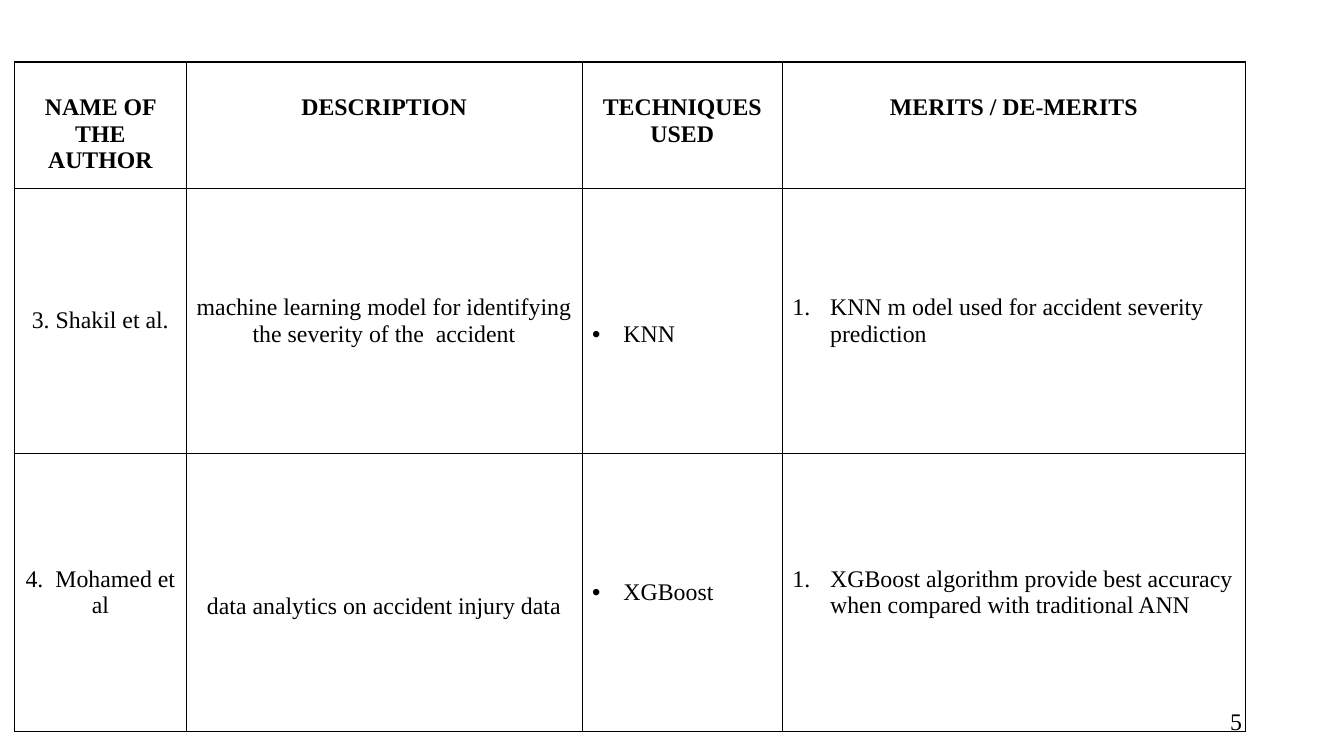
from lxml import etree
from pptx import Presentation
from pptx.dml.color import RGBColor
from pptx.enum.text import MSO_ANCHOR, PP_ALIGN
from pptx.oxml.ns import qn
from pptx.util import Cm, Pt

LEFT, CENTER, RIGHT = PP_ALIGN.LEFT, PP_ALIGN.CENTER, PP_ALIGN.RIGHT
TOP, MIDDLE = MSO_ANCHOR.TOP, MSO_ANCHOR.MIDDLE
BLANK_LAYOUT = 6
PAD_X, PAD_Y, LOWERED = 0.25, 0.13, 0.82

COLUMN_WIDTHS = (4.32, 9.98, 5.05, 11.66)
ROW_HEIGHTS = (3.18, 6.68, 7.01)
HEADINGS = ("NAME OF THE AUTHOR", "DESCRIPTION", "TECHNIQUES USED", "MERITS / DE-MERITS")
STUDIES = (
    ("3. Shakil et al.",
     "machine learning model for identifying the severity of the  accident",
     "KNN",
     "KNN m odel used for accident severity prediction"),
    ("4.  Mohamed et al",
     "data analytics on accident injury data",
     "XGBoost",
     "XGBoost algorithm provide best accuracy when compared with traditional ANN"),
)
COLUMN_FORMATS = (
    {"align": CENTER},
    {"align": CENTER},
    {"marker": "bullet", "indent": 0.79},
    {"marker": "number", "indent": 0.95},
)
LOWERED_CELLS = {(1, 2), (2, 1)}


def color(value):
    """Turn a hex string into a colour."""
    return RGBColor.from_string(value)


class SlideBuilder:
    """Hold the style and the current slide."""

    font, size, ink, paper = "Times New Roman", 17, "000000", "FFFFFF"

    def __init__(self, deck):
        """Add a blank slide to the deck."""
        self.page = deck.slides.add_slide(deck.slide_layouts[BLANK_LAYOUT])

    def set_text(self, frame, text, align=LEFT, bold=False, marker=None, indent=0):
        """Put one formatted paragraph into a text frame."""
        frame.word_wrap = True
        para = frame.paragraphs[0]
        para.alignment = align
        span = para.add_run()
        span.text = text
        span.font.name, span.font.size, span.font.bold = self.font, Pt(self.size), bold
        span.font.color.rgb = color(self.ink)
        if marker:
            self.mark(para, marker, indent)

    def mark(self, para, marker, indent):
        """Give a paragraph a bullet or a number with a hanging indent."""
        properties = para._p.get_or_add_pPr()
        properties.set("marL", str(Cm(indent)))
        properties.set("indent", str(-Cm(indent)))
        tint = etree.SubElement(properties, qn("a:buClr"))
        etree.SubElement(tint, qn("a:srgbClr"), val=self.ink)
        if marker == "bullet":
            etree.SubElement(properties, qn("a:buFont"), typeface="Arial")
            etree.SubElement(properties, qn("a:buChar"), char="•")
        else:
            etree.SubElement(properties, qn("a:buFont"), typeface=self.font)
            etree.SubElement(properties, qn("a:buAutoNum"), type="arabicPeriod")

    def border(self, cell):
        """Draw a thin line on all four sides of a cell."""
        properties = cell._tc.get_or_add_tcPr()
        for side in ("lnL", "lnR", "lnT", "lnB"):
            line = etree.SubElement(properties, qn(f"a:{side}"), w=str(Pt(1)))
            fill = etree.SubElement(line, qn("a:solidFill"))
            etree.SubElement(fill, qn("a:srgbClr"), val=self.ink)

    def cell(self, cell, text, anchor=MIDDLE, lowered=False, **style):
        """Fill and border one table cell and set its text."""
        self.border(cell)
        cell.fill.solid()
        cell.fill.fore_color.rgb = color(self.paper)
        cell.vertical_anchor = anchor
        cell.margin_left = cell.margin_right = Cm(PAD_X)
        cell.margin_top = Cm(LOWERED if lowered else PAD_Y)
        cell.margin_bottom = Cm(PAD_Y)
        self.set_text(cell.text_frame, text, **style)

    def table(self, left, top):
        """Add the literature table."""
        table = self.page.shapes.add_table(
            len(ROW_HEIGHTS), len(COLUMN_WIDTHS), Cm(left), Cm(top),
            Cm(sum(COLUMN_WIDTHS)), Cm(sum(ROW_HEIGHTS))).table
        table.horz_banding = False
        for column, width in zip(table.columns, COLUMN_WIDTHS):
            column.width = Cm(width)
        for row, height in zip(table.rows, ROW_HEIGHTS):
            row.height = Cm(height)
        for index, heading in enumerate(HEADINGS):
            self.cell(table.cell(0, index), heading, anchor=TOP, lowered=True,
                      align=CENTER, bold=True)
        for row, study in enumerate(STUDIES, 1):
            for index, text in enumerate(study):
                self.cell(table.cell(row, index), text,
                          lowered=(row, index) in LOWERED_CELLS, **COLUMN_FORMATS[index])

    def text(self, text, left, top, width, height, **style):
        """Add a vertically centred text box."""
        box = self.page.shapes.add_textbox(Cm(left), Cm(top), Cm(width), Cm(height))
        box.text_frame.vertical_anchor = MIDDLE
        self.set_text(box.text_frame, text, **style)


def main():
    """Build and save the deck."""
    deck = Presentation()
    deck.slide_width, deck.slide_height = Cm(33.87), Cm(19.05)
    builder = SlideBuilder(deck)
    builder.table(0.37, 1.56)
    builder.text("5", 23.93, 17.65, 7.62, 1.02, align=RIGHT)
    deck.save("out.pptx")


if __name__ == "__main__":
    main()
